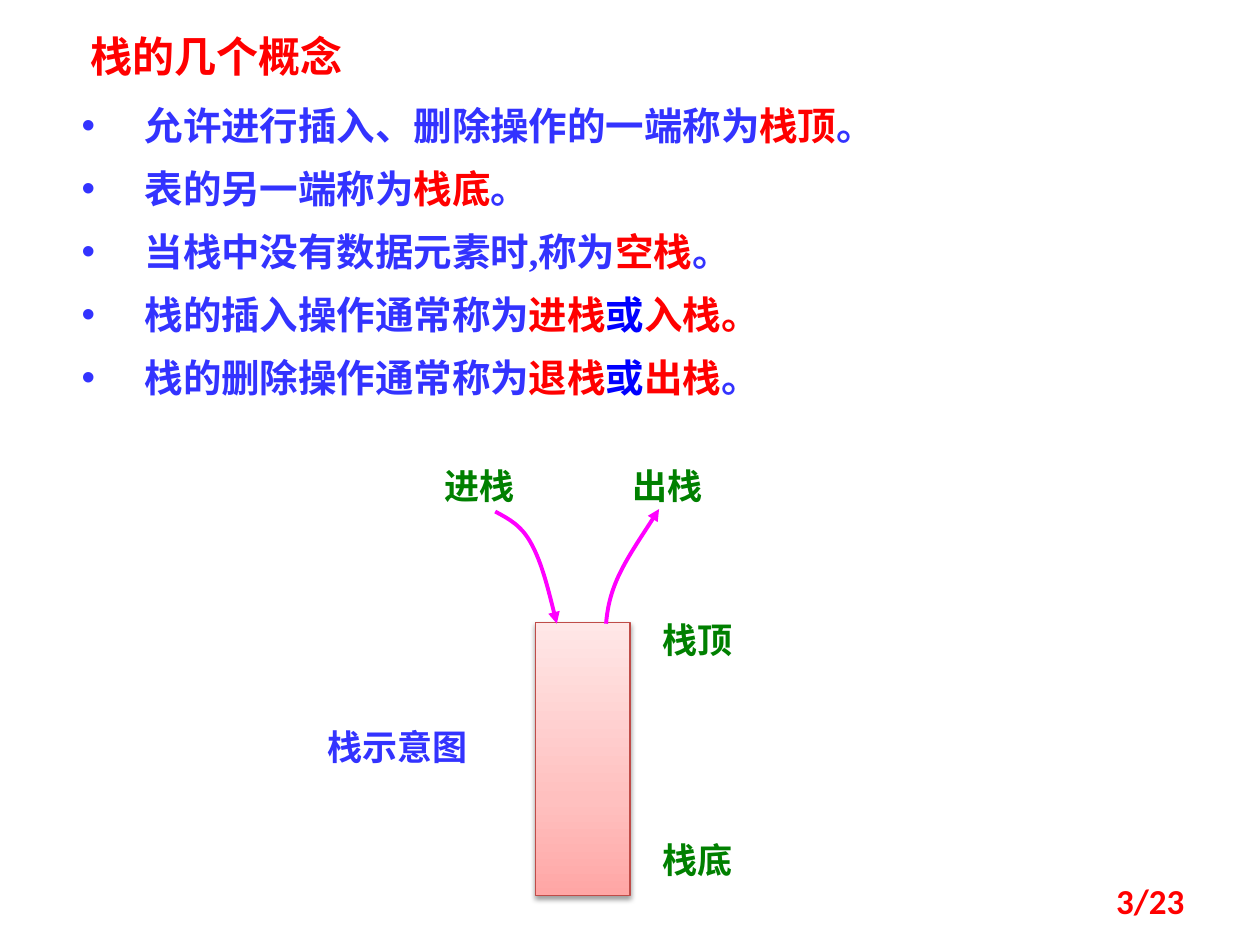
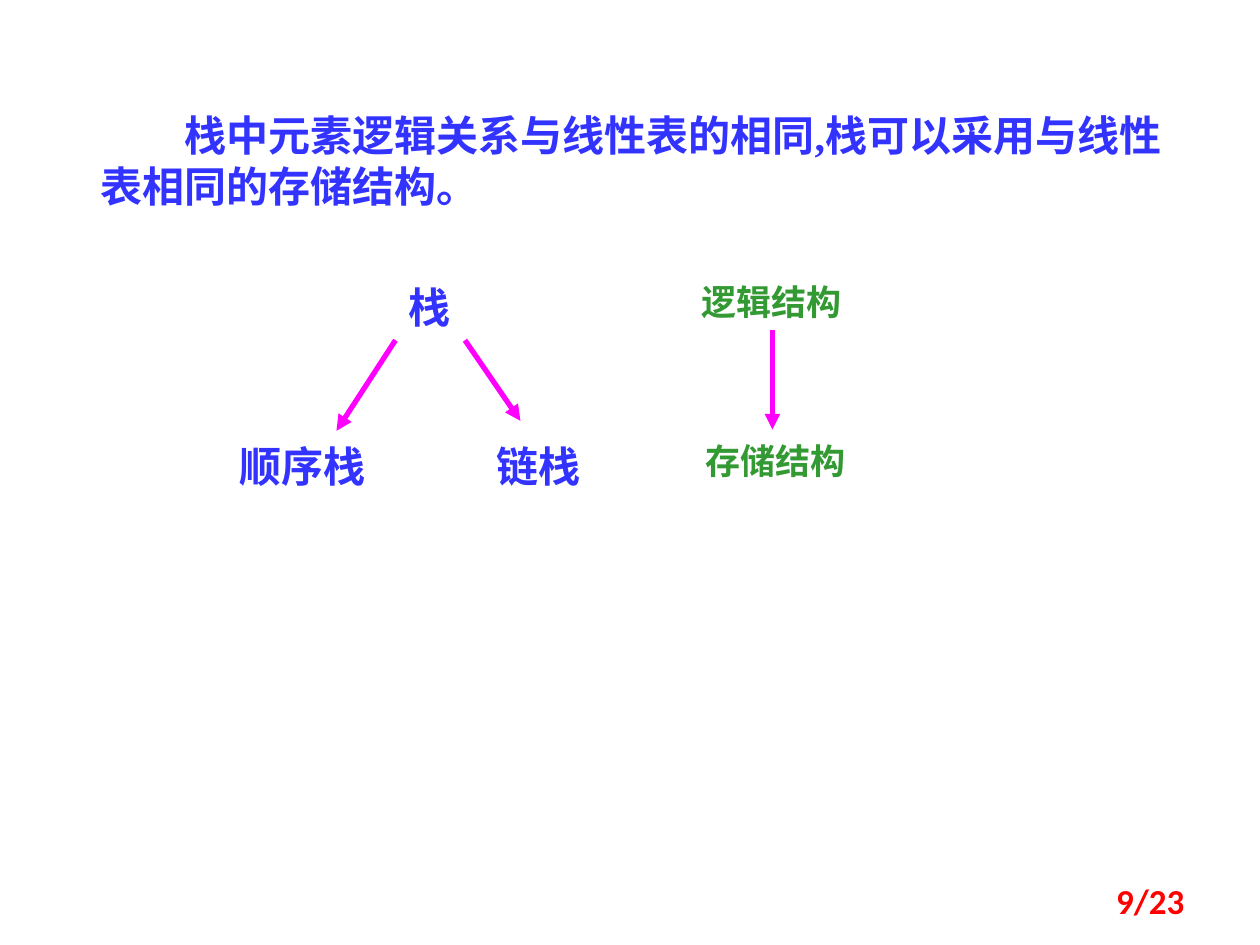
"""Build two slides on the concepts and the storage structures of a stack."""
from copy import deepcopy
from dataclasses import dataclass
from itertools import chain

from lxml import etree
from pptx import Presentation
from pptx.dml.color import RGBColor
from pptx.enum.shapes import MSO_CONNECTOR, MSO_SHAPE
from pptx.enum.text import MSO_ANCHOR, MSO_AUTO_SIZE, PP_ALIGN
from pptx.oxml.ns import qn
from pptx.util import Pt

LEFT, CENTER, RIGHT = PP_ALIGN.LEFT, PP_ALIGN.CENTER, PP_ALIGN.RIGHT
TOP, MIDDLE = MSO_ANCHOR.TOP, MSO_ANCHOR.MIDDLE
NO_AUTOFIT = MSO_AUTO_SIZE.NONE
RECTANGLE, STRAIGHT = MSO_SHAPE.RECTANGLE, MSO_CONNECTOR.STRAIGHT
TITLE_ONLY, BLANK = 5, 6

RED, BLUE, DEEP_BLUE = "FF0000", "3333FF", "0000FF"
GREEN, LEAF, MAGENTA = "008000", "339933", "FF00FF"
HAN, SERIF, SANS = "Noto Sans CJK SC", "Times New Roman", "Calibri"
LINE_RATIO = 1.3
Point = tuple[float, float]


@dataclass
class Label:
    """A single paragraph of bold text in a box."""
    text: str
    left: float
    top: float
    width: float
    height: float
    size: float = 20
    color: str = GREEN
    font: str = HAN
    align: PP_ALIGN = LEFT
    anchor: MSO_ANCHOR = TOP
    indent: float = 0
    spacing: float = 0


@dataclass
class Arrow:
    """A straight arrow between two points."""
    start: Point
    end: Point


TITLE = Label("栈的几个概念", 44.6, 11.5, 300, 36, 24, RED)
CONCEPTS = [
    [("允许进行插入、删除操作的一端称为", BLUE), ("栈顶", RED), ("。", BLUE)],
    [("表的另一端称为", BLUE), ("栈底", RED), ("。", BLUE)],
    [("当栈中没有数据元素时,称为".replace(",", ","), BLUE), ("空栈", RED), ("。", BLUE)],
    [("栈的插入操作通常称为", BLUE), ("进栈", RED), ("或", DEEP_BLUE), ("入栈。", RED)],
    [("栈的删除操作通常称为", BLUE), ("退栈", RED), ("或", DEEP_BLUE), ("出栈", RED),
     ("。", BLUE)],
]
DIAGRAM_LABELS = [
    Label("栈顶", 371.5, 347.8, 72.7, 31.7),
    Label("栈底", 371.5, 473.8, 67.7, 31.7),
    Label("栈示意图", 180, 409, 106.6, 31.7, color=BLUE),
    Label("进栈", 247, 260, 90, 31.7),
    Label("出栈", 354.5, 260, 90, 31.7),
]
PUSH_CURVE = [(283, 292.3), (290.9, 296.6), (298.1, 300.2), (303.8, 311),
              (309.6, 321.8), (313.9, 339.1), (318.2, 356.4)]
POP_CURVE = [(346.3, 356.4), (347, 348.5), (348.5, 339.8), (353.5, 329),
             (358.6, 318.2), (367.9, 304.6), (376.6, 290.9)]
STACK_GRADIENT = [(0, "FFA6A5"), (0.35, "FFC0BF"), (1, "FFE7E7")]

STRUCTURE_LABELS = [
    Label("栈中元素逻辑关系与线性表的相同,栈可以采用与线性表相同的存储结构。"
          .replace(",", ","), 50.4, 59, 635.8, 65.5, 24, BLUE, SERIF,
          indent=48, spacing=29),
    Label("栈", 214.6, 154.8, 61.2, 36, 24, BLUE, SERIF, CENTER),
    Label("顺序栈", 129.6, 245.5, 118.8, 36, 24, BLUE, SERIF),
    Label("链栈", 276.5, 245.5, 85, 36, 24, BLUE, SERIF),
    Label("逻辑结构", 393.8, 154.8, 106.6, 31, 20, LEAF, SERIF),
    Label("存储结构", 396, 245.5, 113, 31, 20, LEAF, SERIF),
]
STRUCTURE_ARROWS = [
    Arrow((226, 194.4), (192.3, 246.2)),
    Arrow((265.7, 194.4), (297.4, 240.5)),
    Arrow((441.4, 188.6), (441.4, 245.5)),
]


def rgb(color: str) -> RGBColor:
    """Turn a hex string into a colour."""
    return RGBColor.from_string(color)


def set_east_asian(shape) -> None:
    """Name the Chinese font beside every Latin font of a shape."""
    for latin in shape.element.iter(qn("a:latin")):
        latin.addnext(etree.Element(qn("a:ea"), typeface=HAN))


def set_indent(paragraph, margin: float, first: float) -> etree._Element:
    """Set the left margin and first-line indent, and return the properties."""
    properties = paragraph._p.get_or_add_pPr()
    properties.set("marL", str(Pt(margin)))
    properties.set("indent", str(Pt(first)))
    return properties


def write_label(shape, label: Label) -> None:
    """Place a shape and fill it with the label's text."""
    shape.left, shape.top = Pt(label.left), Pt(label.top)
    shape.width, shape.height = Pt(label.width), Pt(label.height)
    frame = shape.text_frame
    frame.word_wrap = True
    frame.auto_size = NO_AUTOFIT
    frame.vertical_anchor = label.anchor
    paragraph = frame.paragraphs[0]
    paragraph.text = label.text
    paragraph.alignment = label.align
    paragraph.line_spacing = Pt(label.spacing or label.size * LINE_RATIO)
    set_indent(paragraph, 0, label.indent)
    font = paragraph.font
    font.name, font.size, font.bold = label.font, Pt(label.size), True
    font.color.rgb = rgb(label.color)
    set_east_asian(shape)


def add_label(slide, label: Label) -> None:
    """Add a label in a new text box."""
    write_label(slide.shapes.add_textbox(0, 0, 0, 0), label)


def add_page_number(slide, number: int) -> None:
    """Add the page number in the lower right corner."""
    add_label(slide, Label(f"{number}/23", 516.2, 500.4, 167.8, 28.8, 20, RED, SANS,
                           RIGHT, MIDDLE, spacing=24))


def add_concepts(slide) -> None:
    """Add the bulleted definitions with coloured terms."""
    box = slide.shapes.add_textbox(Pt(39.6), Pt(56.2), Pt(551.5), Pt(186.5))
    frame = box.text_frame
    frame.word_wrap = True
    for index, concept in enumerate(CONCEPTS):
        paragraph = frame.add_paragraph() if index else frame.paragraphs[0]
        paragraph.line_spacing = Pt(25)
        paragraph.space_before = Pt(11 if index else 0)
        properties = set_indent(paragraph, 36, -36)
        etree.SubElement(properties, qn("a:buFont"), typeface="Arial")
        etree.SubElement(properties, qn("a:buChar"), char="•")
        font = paragraph.font
        font.name, font.size, font.bold = SERIF, Pt(22), True
        for words, color in concept:
            run = paragraph.add_run()
            run.text = words
            run.font.color.rgb = rgb(color)
    set_east_asian(box)


def style_arrow(shape, width: float) -> None:
    """Give a line its colour, width and arrowhead."""
    shape.line.color.rgb = rgb(MAGENTA)
    shape.line.width = Pt(width)
    outline = shape.element.find(qn("p:spPr")).find(qn("a:ln"))
    etree.SubElement(outline, qn("a:tailEnd"), type="triangle")


def add_arrow(slide, arrow: Arrow) -> None:
    """Add a straight arrow without a shadow."""
    ends = [Pt(value) for value in chain(arrow.start, arrow.end)]
    connector = slide.shapes.add_connector(STRAIGHT, *ends)
    style_arrow(connector, 3)
    etree.SubElement(connector.element.find(qn("p:spPr")), qn("a:effectLst"))


def add_curve(slide, points: list[Point]) -> None:
    """Add a curved arrow from a start point and triples of Bezier points."""
    start, *rest = [(Pt(x), Pt(y)) for x, y in points]
    builder = slide.shapes.build_freeform(*start)
    builder.add_line_segments(rest, close=False)
    curve = builder.convert_to_shape()
    curve.shadow.inherit = False
    curve.fill.background()
    style_arrow(curve, 2.25)
    segments = list(curve.element.iter(qn("a:lnTo")))
    outline = segments[0].getparent()
    for first in range(0, len(segments), 3):
        bezier = etree.SubElement(outline, qn("a:cubicBezTo"))
        for segment in segments[first:first + 3]:
            bezier.append(segment[0])
            outline.remove(segment)


def add_stack(slide) -> None:
    """Add the stack body with its gradient and soft shadow."""
    stack = slide.shapes.add_shape(RECTANGLE, Pt(306), Pt(355.7), Pt(54), Pt(156.2))
    stack.line.color.rgb = rgb("BF4C48")
    stack.line.width = Pt(0.75)
    stack.fill.gradient()
    stack.fill.gradient_angle = 90
    stops = stack.element.find(qn("p:spPr")).find(f".//{qn('a:gsLst')}")
    stops.append(deepcopy(stops[0]))
    for stop, (position, color) in zip(stack.fill.gradient_stops, STACK_GRADIENT):
        stop.position = position
        stop.color.rgb = rgb(color)
    stack.shadow.inherit = False
    effects = stack.element.find(qn("p:spPr")).find(qn("a:effectLst"))
    shadow = etree.SubElement(effects, qn("a:outerShdw"), blurRad=str(Pt(3.1)),
                              dist=str(Pt(1.6)), dir="5400000", rotWithShape="0")
    shade = etree.SubElement(shadow, qn("a:srgbClr"), val="000000")
    etree.SubElement(shade, qn("a:alpha"), val="38000")


def build_concepts(deck) -> None:
    """Build the slide of stack concepts."""
    slide = deck.slides.add_slide(deck.slide_layouts[TITLE_ONLY])
    write_label(slide.shapes.title, TITLE)
    add_concepts(slide)
    add_stack(slide)
    for label in DIAGRAM_LABELS:
        add_label(slide, label)
    for points in (PUSH_CURVE, POP_CURVE):
        add_curve(slide, points)
    add_page_number(slide, 3)


def build_structures(deck) -> None:
    """Build the slide of storage structures."""
    slide = deck.slides.add_slide(deck.slide_layouts[BLANK])
    for label in STRUCTURE_LABELS:
        add_label(slide, label)
    for arrow in STRUCTURE_ARROWS:
        add_arrow(slide, arrow)
    add_page_number(slide, 9)


def main() -> None:
    """Build and save the deck."""
    deck = Presentation()
    deck.slide_width, deck.slide_height = Pt(720), Pt(540)
    build_concepts(deck)
    build_structures(deck)
    deck.save("out.pptx")


main()
